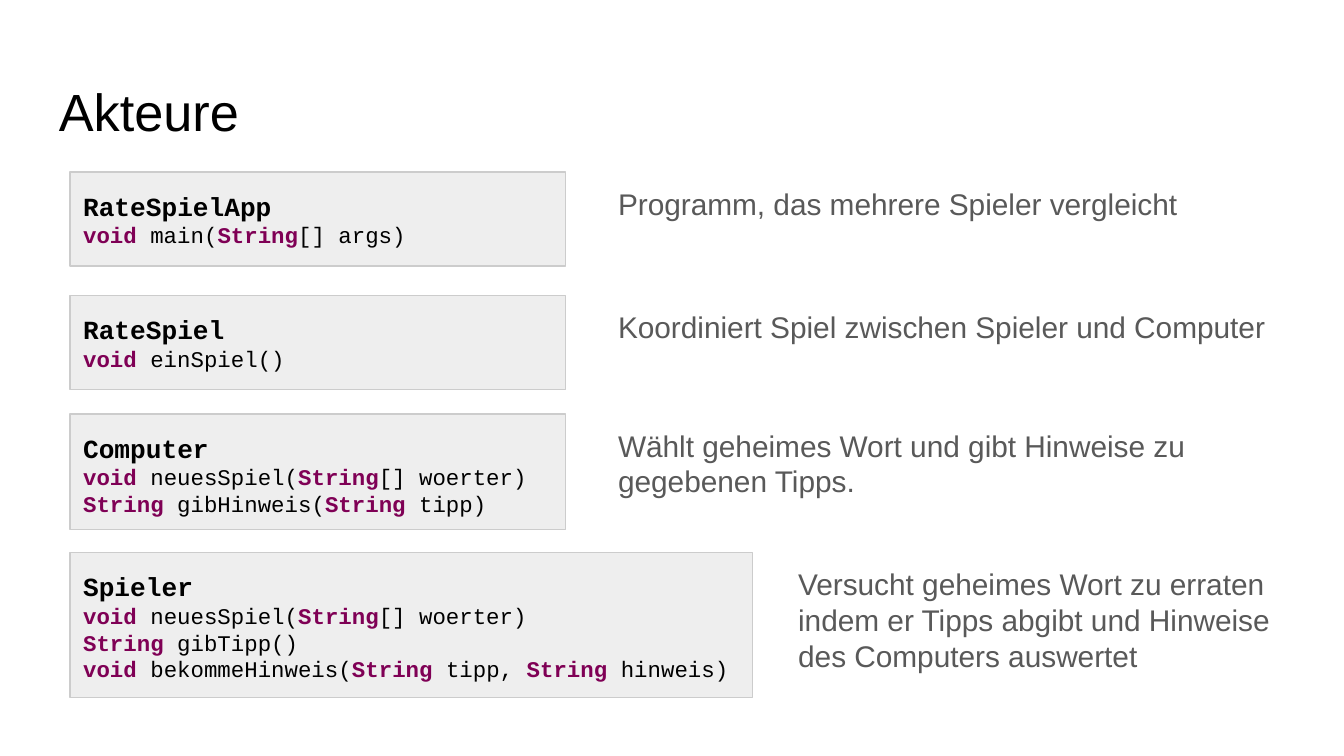
"""Build the slide listing the actors of a guessing game and their methods."""
from pptx import Presentation
from pptx.dml.color import RGBColor
from pptx.enum.shapes import MSO_SHAPE
from pptx.enum.text import MSO_ANCHOR, PP_ALIGN
from pptx.util import Inches, Pt

RECT = MSO_SHAPE.RECTANGLE
TOP = MSO_ANCHOR.TOP
LEFT = PP_ALIGN.LEFT

COLORS = {"text": "000000", "keyword": "7F0055", "note": "595959",
          "box": "EEEEEE", "border": "CCCCCC"}
SANS, MONO = "Arial", "Courier New"
KEYWORDS = ("void", "String")

TITLE = "Akteure"
NEW_GAME = ["void ", "neuesSpiel(", "String", "[] woerter)"]
ACTORS = [
    {"name": "RateSpielApp", "top": 1.28, "height": 0.7,
     "methods": [["void", " main(", "String", "[] args)"]],
     "note": "Programm, das mehrere Spieler vergleicht"},
    {"name": "RateSpiel", "top": 2.2, "height": 0.7,
     "methods": [["void", " einSpiel()"]],
     "note": "Koordiniert Spiel zwischen Spieler und Computer"},
    {"name": "Computer", "top": 3.08, "height": 0.86, "note_height": 0.7,
     "methods": [NEW_GAME,
                 ["String ", "gibHinweis(", "String ", "tipp)"]],
     "note": "Wählt geheimes Wort und gibt Hinweise zu gegebenen Tipps."},
    {"name": "Spieler", "top": 4.11, "height": 1.08, "wide": True,
     "methods": [NEW_GAME,
                 ["String ", "gibTipp()"],
                 ["void ", "bekommeHinweis(", "String ", "tipp, ",
                  "String ", "hinweis)"]],
     "note": "Versucht geheimes Wort zu erraten indem er Tipps abgibt "
             "und Hinweise des Computers auswertet"},
]
BOX_LEFT = 0.52
NARROW = {"box": 3.69, "note_left": 4.5, "note": 5.08}
WIDE = {"box": 5.08, "note_left": 5.84, "note": 3.82}


def rgb(name):
    return RGBColor.from_string(COLORS[name])


def add_run(p, text, font, size, color, bold=False):
    r = p.add_run()
    r.text = text
    r.font.name, r.font.size, r.font.bold = font, Pt(size), bold
    r.font.color.rgb = rgb(color)


def set_frame(s):
    tf = s.text_frame
    tf.word_wrap = True
    tf.vertical_anchor = TOP
    tf.margin_left = tf.margin_right = Inches(0.1)
    tf.margin_top = tf.margin_bottom = Inches(0.1)
    tf.paragraphs[0].alignment = LEFT
    return tf


def add_text(slide, box, text, size, color):
    s = slide.shapes.add_textbox(*map(Inches, box))
    add_run(set_frame(s).paragraphs[0], text, SANS, size, color)


def add_class_box(slide, box, name, methods):
    s = slide.shapes.add_shape(RECT, *map(Inches, box))
    s.shadow.inherit = False
    s.fill.solid()
    s.fill.fore_color.rgb = rgb("box")
    s.line.color.rgb = rgb("border")
    s.line.width = Pt(0.75)
    tf = set_frame(s)
    tf.paragraphs[0].line_spacing = 1.15
    add_run(tf.paragraphs[0], name, MONO, 14, "text", True)
    for method in methods:
        p = tf.add_paragraph()
        p.alignment = LEFT
        for part in method:
            keyword = part.strip() in KEYWORDS
            add_run(p, part, MONO, 12, "keyword" if keyword else "text", keyword)


def main():
    prs = Presentation()
    prs.slide_width = Inches(10)
    prs.slide_height = prs.slide_width * 9 // 16
    slide = prs.slides.add_slide(prs.slide_layouts[6])
    add_text(slide, (0.34, 0.49, 9.32, 0.63), TITLE, 28, "text")
    for actor in ACTORS:
        cols = WIDE if actor.get("wide") else NARROW
        top, height = actor["top"], actor["height"]
        add_class_box(slide, (BOX_LEFT, top, cols["box"], height),
                      actor["name"], actor["methods"])
        add_text(slide, (cols["note_left"], top, cols["note"],
                         actor.get("note_height", height)),
                 actor["note"], 16, "note")
    prs.save("out.pptx")


if __name__ == "__main__":
    main()
